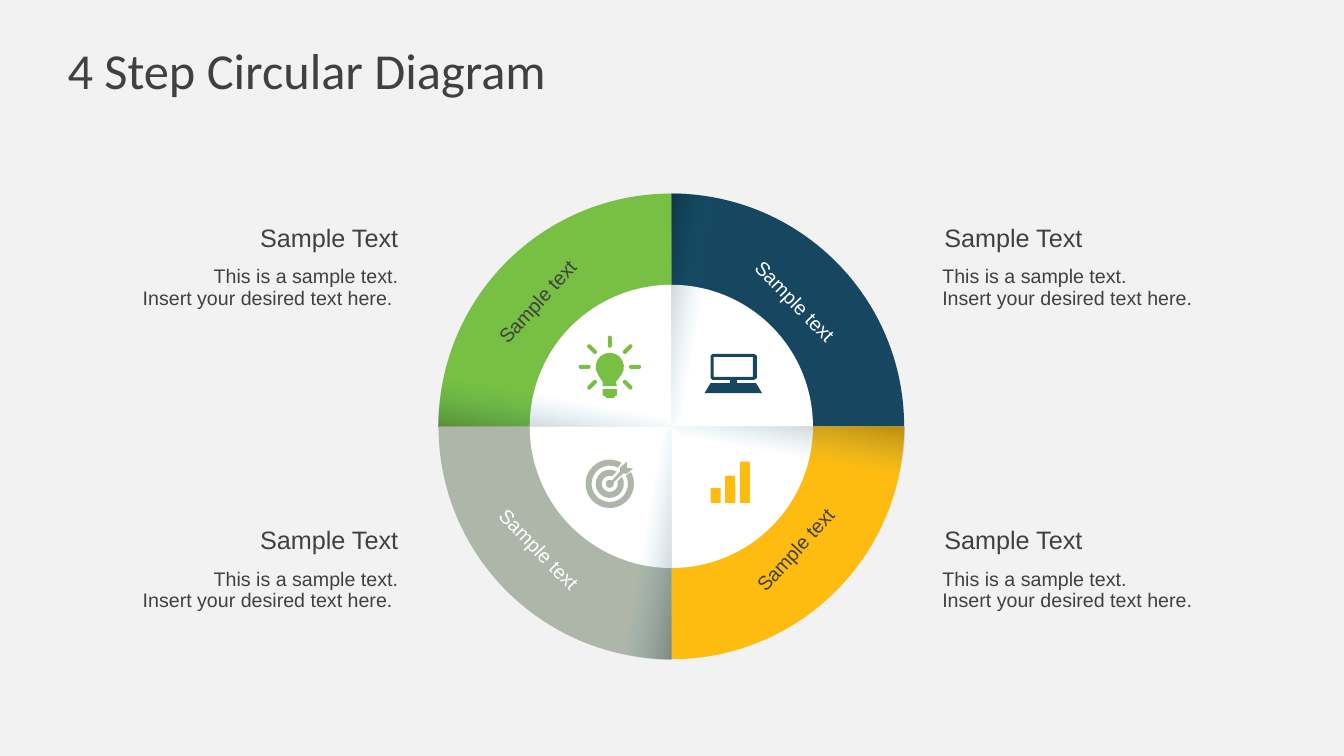
from dataclasses import dataclass
from math import ceil, cos, radians, sin, tan

from lxml import etree
from pptx import Presentation
from pptx.dml.color import RGBColor
from pptx.enum import shapes, text
from pptx.oxml import ns
from pptx.util import Inches, Pt


@dataclass(frozen=True)
class Theme:
    back: str = "F2F2F2"
    ink: str = "404040"
    white: str = "FFFFFF"
    green: str = "77C043"
    navy: str = "174760"
    yellow: str = "FEBC11"
    grey: str = "AEB6AA"
    glow: str = "1181AE"
    black: str = "000000"
    body_font: str = "Arial"
    title_font: str = "Calibri"
    title: int = 36
    heading: int = 18
    body: int = 14


@dataclass(frozen=True)
class Box:
    left: float
    top: float
    width: float
    height: float

    @property
    def center(self):
        return self.left + self.width / 2, self.top + self.height / 2

    def inches(self):
        return [Inches(v) for v in (self.left, self.top, self.width, self.height)]

    def at(self, points):
        return [[(self.left + x, self.top + y)] for x, y in points]


THEME = Theme()
KINDS = shapes.MSO_SHAPE
ALIGN = text.PP_ALIGN


# Shared drawing helpers
def paint(shape, color):
    shape.shadow.inherit = False
    shape.line.fill.background()
    shape.fill.solid()
    shape.fill.fore_color.rgb = RGBColor.from_string(color)
    return shape


def preset(page, kind, box, color):
    return paint(page.shapes.add_shape(kind, *box.inches()), color)


def outline(page, contours, color):
    """Each contour is a list of steps: one point for a line, three for a curve."""
    builder, steps = None, []
    for contour in contours:
        first, *rest = [(Inches(x), Inches(y)) for step in contour for x, y in step]
        if builder is None:
            builder = page.shapes.build_freeform(*first)
        else:
            builder.move_to(*first)
        builder.add_line_segments(rest, close=True)
        steps += contour[1:]
    shape = builder.convert_to_shape()
    lines = iter(list(shape._element.iter(ns.qn("a:lnTo"))))
    for step in steps:
        pieces = [next(lines) for _ in step]
        if len(step) == 3:
            curve = etree.Element(ns.qn("a:cubicBezTo"))
            pieces[0].addprevious(curve)
            for piece in pieces:
                curve.append(piece[0])
                piece.getparent().remove(piece)
    return paint(shape, color)


def arc(center, radius, start, end):
    def spot(angle, slide=0):
        a = radians(angle)
        return (center[0] + radius * (cos(a) - slide * sin(a)),
                center[1] + radius * (sin(a) + slide * cos(a)))

    count = ceil(abs(end - start) / 90)
    turn = (end - start) / count
    pull = 4 / 3 * tan(radians(turn) / 4)
    angles = [start + turn * i for i in range(count)]
    return [[spot(start)]] + [[spot(a, pull), spot(a + turn, -pull), spot(a + turn)]
                              for a in angles]


def around(center, width, height):
    return Box(center[0] - width / 2, center[1] - height / 2, width, height)


def write(frame, lines, align, size, color=THEME.ink, font=THEME.body_font, spacing=0.9):
    for index, line in enumerate(lines):
        para = frame.paragraphs[0] if index == 0 else frame.add_paragraph()
        para.alignment, para.line_spacing = align, spacing
        span = para.add_run()
        span.text = line
        for name, value in {"name": font, "size": Pt(size)}.items():
            setattr(span.font, name, value)
        span.font.color.rgb = RGBColor.from_string(color)


def label(page, box, lines, align, size, color=THEME.ink, wrap=True):
    shape = page.shapes.add_textbox(*box.inches())
    shape.text_frame.word_wrap = wrap
    shape.text_frame.auto_size = text.MSO_AUTO_SIZE.SHAPE_TO_FIT_TEXT
    write(shape.text_frame, lines, align, size, color)
    return shape


# Title
def add_title(page, box):
    title = page.shapes.title
    title.left, title.top, title.width, title.height = box.inches()
    settings = {"margin_left": 0, "margin_right": 0, "word_wrap": True,
                "vertical_anchor": text.MSO_ANCHOR.MIDDLE}
    for name, value in settings.items():
        setattr(title.text_frame, name, value)
    write(title.text_frame, ["4 Step Circular Diagram"], ALIGN.LEFT, THEME.title,
          font=THEME.title_font, spacing=1)


# Wheel: four quadrants, white hub and a fold shadow at each seam
def add_fold(page, center, radius, start):
    fold = outline(page, [[[center]] + arc(center, radius, start, start + 45)], THEME.black)
    fold.fill.gradient()
    fold.fill.gradient_angle = (80 - start) % 360
    stops = [(0.76, THEME.glow, 0), (1, THEME.black, 26000)]
    for stop, (position, color, _) in zip(fold.fill.gradient_stops, stops):
        stop.position = position
        stop.color.rgb = RGBColor.from_string(color)
    tints = fold._element.spPr.iter(ns.qn("a:srgbClr"))
    for tint, (_, _, alpha) in zip(tints, stops):
        etree.SubElement(tint, ns.qn("a:alpha")).set("val", str(alpha))
    return fold


def add_wheel(page, box):
    center, radius = box.center, box.width / 2
    quadrants = {270: THEME.navy, 180: THEME.green, 0: THEME.yellow, 90: THEME.grey}
    parts = [outline(page, [[[center]] + arc(center, radius, start, start + 90)], color)
             for start, color in quadrants.items()]
    parts.append(preset(page, KINDS.OVAL, around(center, 2.81, 2.81), THEME.white))
    parts += [add_fold(page, center, radius, start) for start in (180, 270, 0, 90)]
    page.shapes.add_group_shape(parts)


def add_wheel_labels(page, box):
    x, y = box.center
    for dx, dy, turn, color in [(-1.32, -1.23, -47.5, THEME.ink), (1.24, 1.23, -47.5, THEME.ink),
                                (1.22, -1.23, 45.7, THEME.white), (-1.32, 1.23, 45.7, THEME.white)]:
        spot = around((x + dx, y + dy), 2.73, 0.31)
        label(page, spot, ["Sample text"], ALIGN.CENTER, THEME.body, color).rotation = turn


# Captions beside the wheel
def add_caption(page, box, align):
    gap = 0.02
    heading = Box(box.left + gap, box.top, box.width - gap, 0.37)
    body = Box(box.left, box.top + 0.41, box.width, 0.53)
    last = "Insert your desired text here." + (" " if align == ALIGN.RIGHT else "")
    page.shapes.add_group_shape([
        label(page, body, ["This is a sample text.", last], align, THEME.body, wrap=False),
        label(page, heading, ["Sample Text"], align, THEME.heading)])


# Icons
def add_bulb(page, box):
    x, y = center = (box.left + 0.31, box.top + 0.31)
    parts = []
    for angle in range(135, 406, 45):
        spot = (x + 0.25 * cos(radians(angle)), y + 0.25 * sin(radians(angle)))
        ray = preset(page, KINDS.ROUNDED_RECTANGLE, around(spot, 0.12, 0.04), THEME.green)
        ray.adjustments[0] = 0.5
        ray.rotation = angle % 360
        parts.append(ray)
    neck = box.at([(0.37, 0.46), (0.38, 0.5), (0.24, 0.5), (0.24, 0.46)])
    base = box.at([(0.24, 0.53), (0.38, 0.53), (0.38, 0.59), (0.36, 0.6), (0.35, 0.62),
                   (0.28, 0.62), (0.26, 0.6), (0.24, 0.59)])
    parts.append(outline(page, [arc(center, 0.14, 145, 395) + neck], THEME.green))
    parts.append(outline(page, [base], THEME.green))
    page.shapes.add_group_shape(parts)


def add_laptop(page, box):
    body = [(0.06, 0.29), (0, 0.39), (0.57, 0.39), (0.51, 0.29), (0.32, 0.29), (0.32, 0.26),
            (0.49, 0.26), (0.52, 0.24), (0.52, 0.02), (0.49, 0), (0.08, 0), (0.06, 0.02),
            (0.06, 0.24), (0.08, 0.26), (0.25, 0.26), (0.25, 0.29)]
    screen = [(0.09, 0.03), (0.48, 0.03), (0.48, 0.23), (0.09, 0.23)]
    outline(page, [box.at(body), box.at(screen)], THEME.navy)


def add_target(page, box):
    center = (box.left + 0.24, box.top + 0.23)
    parts = [preset(page, KINDS.OVAL, around(center, 0.08, 0.08), THEME.grey)]
    arrow = [(0.41, 0.01), (0.34, 0.07), (0.34, 0.11), (0.25, 0.21), (0.26, 0.23),
             (0.37, 0.13), (0.41, 0.13), (0.47, 0.08), (0.41, 0.07)]
    parts.append(outline(page, [box.at(arrow)], THEME.grey))
    for outer, inner, outer_gap, inner_gap in [(0.14, 0.08, 16, 27), (0.24, 0.18, 16, 18)]:
        ring = (arc(center, outer, outer_gap - 45, 315 - outer_gap)
                + arc(center, inner, 315 - inner_gap, inner_gap - 45))
        parts.append(outline(page, [ring], THEME.grey))
    page.shapes.add_group_shape(parts)


def add_bars(page, box):
    parts = []
    for index, height in enumerate((0.15, 0.27, 0.41)):
        spot = Box(box.left + index * 0.145, box.top + box.height - height, 0.1, height)
        bar = preset(page, KINDS.ROUNDED_RECTANGLE, spot, THEME.yellow)
        bar.adjustments[0] = 0.1
        parts.append(bar)
    page.shapes.add_group_shape(parts)


def main():
    deck = Presentation()
    deck.slide_width, deck.slide_height = Inches(40) // 3, Inches(7.5)
    page = deck.slides.add_slide(deck.slide_layouts[5])
    page.background.fill.solid()
    page.background.fill.fore_color.rgb = RGBColor.from_string(THEME.back)
    wheel = Box(4.35, 1.92, 4.62, 4.62)
    add_title(page, Box(0.67, 0.3, 12, 0.78))
    add_wheel(page, wheel)
    for left, align in [(9.25, ALIGN.LEFT), (1.3, ALIGN.RIGHT)]:
        for top in (2.19, 5.19):
            add_caption(page, Box(left, top, 2.75, 0.94), align)
    add_wheel_labels(page, wheel)
    add_bulb(page, Box(5.74, 3.33, 0.62, 0.62))
    add_laptop(page, Box(6.99, 3.51, 0.57, 0.39))
    add_target(page, Box(5.81, 4.57, 0.49, 0.47))
    add_bars(page, Box(7.05, 4.58, 0.39, 0.41))
    deck.save("out.pptx")


if __name__ == "__main__":
    main()
